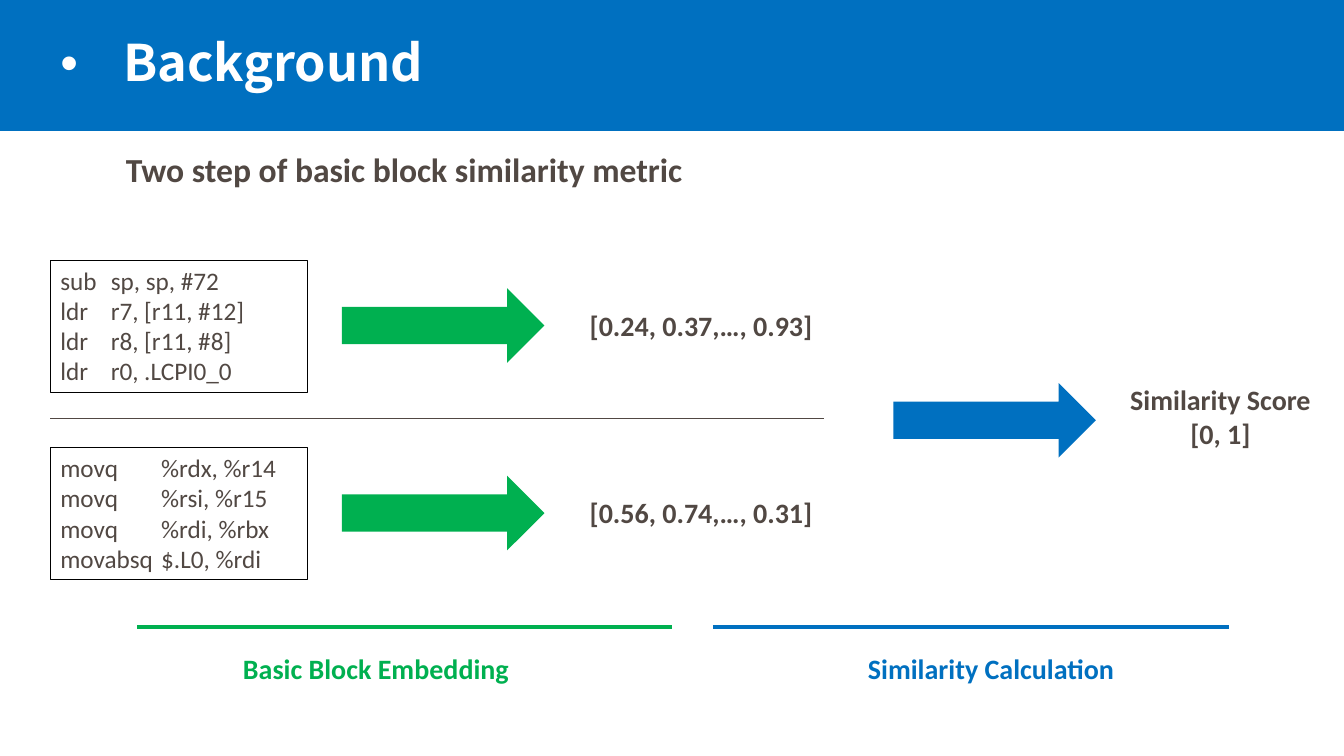
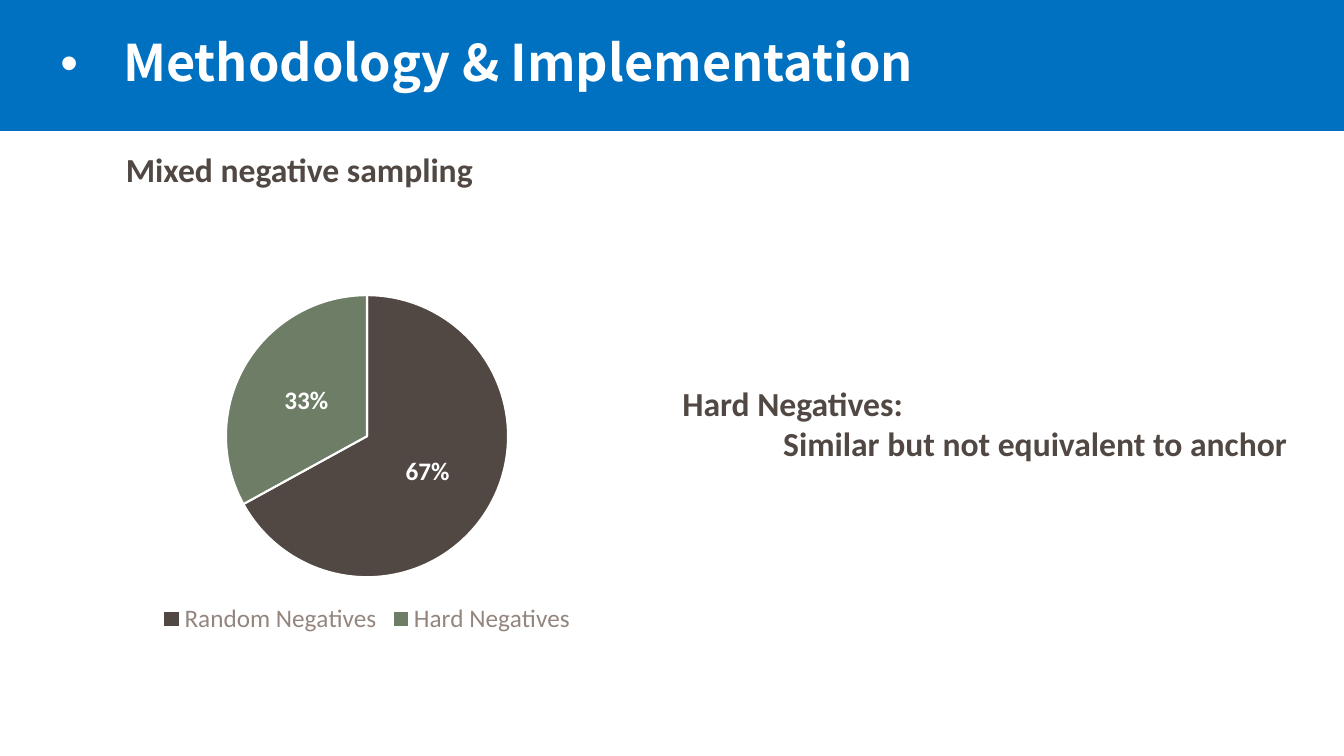
from pptx import Presentation
from pptx.chart.data import CategoryChartData
from pptx.dml.color import RGBColor
from pptx.enum.chart import XL_CHART_TYPE, XL_LABEL_POSITION, XL_LEGEND_POSITION
from pptx.enum.shapes import MSO_CONNECTOR, MSO_SHAPE
from pptx.enum.text import MSO_ANCHOR, MSO_AUTO_SIZE, PP_ALIGN
from pptx.oxml.ns import qn
from pptx.util import Inches, Pt
from lxml import etree

BLUE = RGBColor(0x00, 0x70, 0xC0)
GREEN = RGBColor(0x00, 0xB0, 0x50)
BROWN = RGBColor(0x51, 0x48, 0x43)
TAUPE = RGBColor(0x94, 0x86, 0x7E)
SAGE = RGBColor(0x6D, 0x7D, 0x66)
BLACK = RGBColor(0x00, 0x00, 0x00)
WHITE = RGBColor(0xFF, 0xFF, 0xFF)
FONT = "Calibri"
TITLE_FONT = "Noto Sans CJK SC"


def write(shape, text, size=20, color=BROWN, bold=True, align=PP_ALIGN.LEFT,
          font=FONT, wrap=False, anchor=MSO_ANCHOR.TOP):
    """Fill a shape with one paragraph per line of text and return the paragraphs."""
    tf = shape.text_frame
    tf.text = text
    tf.word_wrap = wrap
    tf.auto_size = MSO_AUTO_SIZE.NONE
    tf.vertical_anchor = anchor
    for p in tf.paragraphs:
        p.alignment = align
        for r in p.runs:
            r.font.name = font
            r.font.size = Pt(size)
            r.font.bold = bold
            r.font.color.rgb = color
    return tf.paragraphs


def add_shape(s, kind, x, y, w, h, fill=None, line=None):
    shape = s.shapes.add_shape(kind, Inches(x), Inches(y), Inches(w), Inches(h))
    shape.shadow.inherit = False
    if fill is None:
        shape.fill.background()
    else:
        shape.fill.solid()
        shape.fill.fore_color.rgb = fill
    if line is None:
        shape.line.fill.background()
    else:
        shape.line.color.rgb = line
        shape.line.width = Pt(0.75)
    return shape


prs = Presentation()
prs.slide_width, prs.slide_height = Inches(13.33), Inches(7.5)
layout = prs.slide_layouts[5]

# Title, subtitle
slides = []
for title, subtitle in [
    ("Background", "Two step of basic block similarity metric"),
    ("Methodology & Implementation", "Mixed negative sampling"),
]:
    s = prs.slides.add_slide(layout)
    slides.append(s)
    ph = s.shapes.title
    ph.left, ph.top, ph.width, ph.height = Inches(0.5), Inches(0.15), Inches(10.68), Inches(1)
    p = write(ph, title, size=36, color=WHITE, font=TITLE_FONT, wrap=True,
              anchor=MSO_ANCHOR.MIDDLE)[0]
    p.line_spacing = 0.9
    p.space_before = Pt(18)
    pPr = p._p.get_or_add_pPr()
    pPr.set("marL", str(Inches(0.62)))
    pPr.set("indent", str(-Inches(0.62)))
    etree.SubElement(pPr, qn("a:buFont")).set("typeface", "Arial")
    etree.SubElement(pPr, qn("a:buChar")).set("char", "•")
    box = s.shapes.add_textbox(Inches(1.15), Inches(1.43), Inches(5.77), Inches(0.5))
    write(box, subtitle, size=24)

background, methodology = slides

# The band moves to the layout, so that every slide shows it
band = add_shape(background, MSO_SHAPE.RECTANGLE, 0, 0, 13.33, 1.3, fill=BLUE)
band._element.nvSpPr.cNvPr.set("id", "99")
layout.shapes[0]._element.addprevious(band._element)

# Background: two code blocks, each turned into a vector
s = background
blocks = [
    ("sub\tsp, sp, #72\nldr\tr7, [r11, #12]\nldr\tr8, [r11, #8]\nldr\tr0, .LCPI0_0",
     "[0.24, 0.37,…, 0.93]"),
    ("movq\t%rdx, %r14\nmovq\t%rsi, %r15\nmovq\t%rdi, %rbx\nmovabsq\t$.L0, %rdi",
     "[0.56, 0.74,…, 0.31]"),
]
for i, (code, vector) in enumerate(blocks):
    y = 2.58 + 1.86 * i
    box = add_shape(s, MSO_SHAPE.RECTANGLE, 0.5, y, 2.55, 1.31, line=BLACK)
    write(box, code, size=18, bold=False)
    add_shape(s, MSO_SHAPE.RIGHT_ARROW, 3.39, y + 0.28, 2.01, 0.74, fill=GREEN)
    box = s.shapes.add_textbox(Inches(5.74), Inches(y + 0.43), Inches(2.43), Inches(0.44))
    write(box, vector, align=PP_ALIGN.CENTER)

add_shape(s, MSO_SHAPE.RIGHT_ARROW, 8.86, 3.8, 2.01, 0.74, fill=BLUE)

for text, x, y, w, h, color in [
    ("Similarity Score\n[0, 1]", 11.1, 3.75, 2.01, 0.77, BROWN),
    ("Basic Block Embedding", 2.3, 6.41, 2.86, 0.44, GREEN),
    ("Similarity Calculation", 8.5, 6.41, 2.66, 0.44, BLUE),
]:
    box = s.shapes.add_textbox(Inches(x), Inches(y), Inches(w), Inches(h))
    write(box, text, color=color, align=PP_ALIGN.CENTER)

for x1, x2, y, color, width in [
    (0.5, 8.17, 4.15, BROWN, 0.5),
    (1.36, 6.67, 6.22, GREEN, 2.25),
    (7.07, 12.19, 6.22, BLUE, 2.25),
]:
    line = s.shapes.add_connector(MSO_CONNECTOR.STRAIGHT, Inches(x1), Inches(y),
                                  Inches(x2), Inches(y))
    line.line.color.rgb = color
    line.line.width = Pt(width)
    etree.SubElement(line._element.spPr, qn("a:effectLst"))

# Methodology: shares of the negatives
s = methodology
data = CategoryChartData()
data.categories = ["Random Negatives", "Hard Negatives"]
data.add_series("Series 1", (67, 33))
chart = s.shapes.add_chart(XL_CHART_TYPE.PIE, Inches(0.94), Inches(2.79), Inches(5.4),
                           Inches(3.55), data).chart
chart.has_title = False
chart.font.name = FONT
chart.font.size = Pt(10)
chart.font.color.rgb = BROWN
chart.has_legend = True
legend = chart.legend
legend.position = XL_LEGEND_POSITION.BOTTOM
legend.include_in_layout = False
legend.font.name = FONT
legend.font.size = Pt(18)
legend.font.color.rgb = TAUPE

plot = chart.plots[0]
plot.vary_by_categories = True
for i, color in enumerate([BROWN, SAGE]):
    point = plot.series[0].points[i]
    point.format.fill.solid()
    point.format.fill.fore_color.rgb = color
    point.format.line.color.rgb = WHITE
    point.format.line.width = Pt(1.5)

labels = plot.series[0].data_labels
labels.show_percentage = True
labels.show_value = False
labels.number_format = "0%"
labels.number_format_is_linked = False
labels.position = XL_LABEL_POSITION.CENTER
labels.font.name = FONT
labels.font.size = Pt(18)
labels.font.bold = True
labels.font.color.rgb = WHITE

box = s.shapes.add_textbox(Inches(6.67), Inches(3.75), Inches(6.26), Inches(0.91))
ps = write(box, "Hard Negatives:\nSimilar but not equivalent to anchor", size=24)
ps[1]._p.get_or_add_pPr().set("marL", str(Inches(1)))

prs.save("out.pptx")
